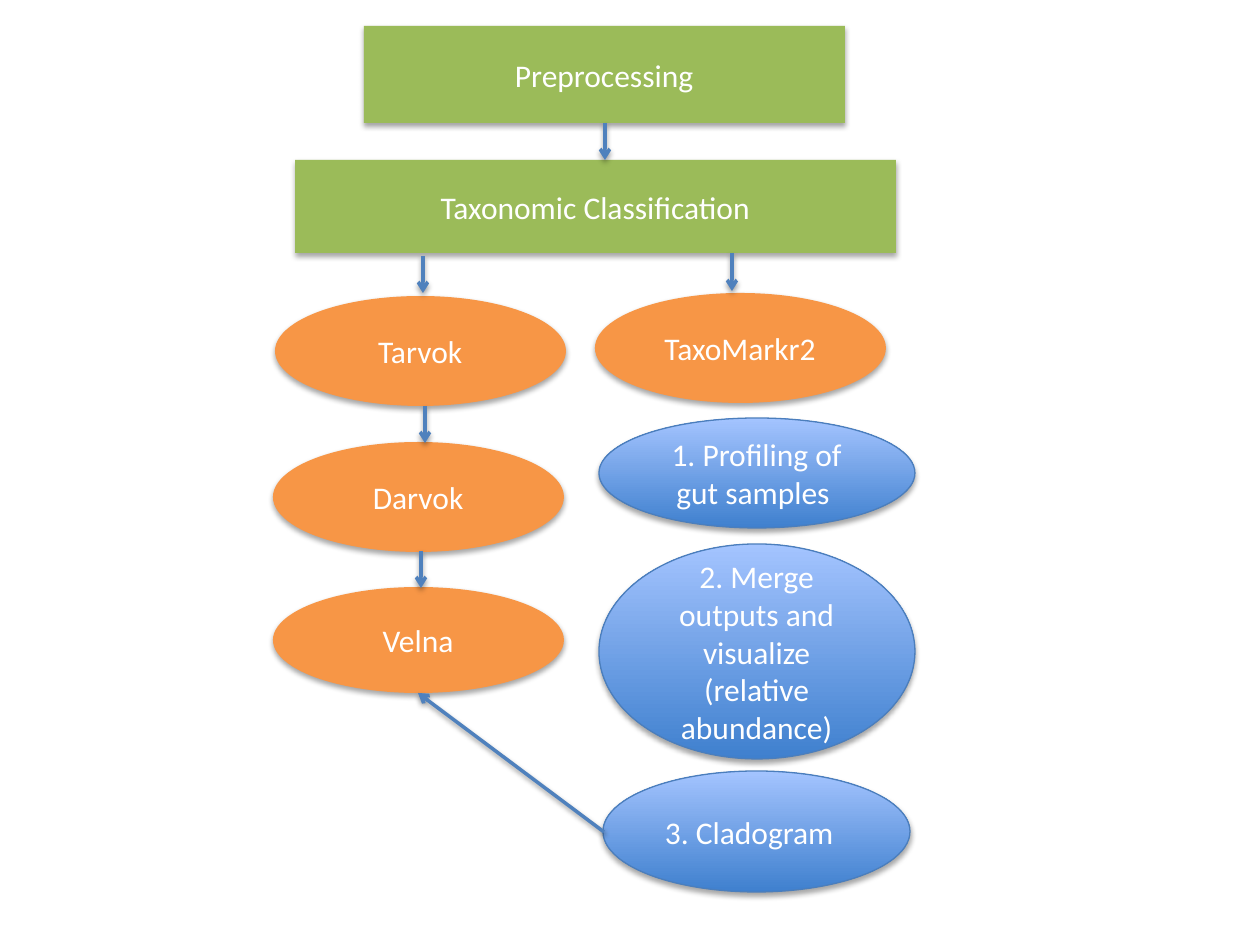
from lxml.etree import SubElement
from pptx import Presentation
from pptx.dml.color import RGBColor
from pptx.enum.shapes import MSO_CONNECTOR, MSO_SHAPE
from pptx.enum.text import MSO_ANCHOR, PP_ALIGN
from pptx.oxml.ns import qn
from pptx.util import Emu, Pt

PX = 914400 // 126
COLORS = {
    "stage": "9BBB59",
    "tool": "F79646",
    "step_bottom": "3F80CE",
    "step_top": "A4C4FF",
    "step_line": "4B7EBC",
    "arrow": "4F81BD",
    "text": "FFFFFF",
    "shadow": "000000",
}
TOOL_WIDTH, TOOL_HEIGHT = 291, 110
INSET = 13


def px(length):
    return Emu(length * PX)


def rgb(name):
    return RGBColor.from_string(COLORS[name])


def add_shadow(shape, distance, opacity):
    """Give a shape or connector a soft shadow straight below it."""
    properties = shape._element.spPr
    for old in properties.findall(qn("a:effectLst")):
        properties.remove(old)
    effects = SubElement(properties, qn("a:effectLst"))
    shadow = SubElement(
        effects, qn("a:outerShdw"), blurRad=str(Pt(3.1)), dist=str(Pt(distance)),
        dir="5400000", rotWithShape="0")
    color = SubElement(shadow, qn("a:srgbClr"), val=COLORS["shadow"])
    SubElement(color, qn("a:alpha"), val=str(opacity * 1000))


def add_node(slide, kind, text, left, top, width, height, right_inset=INSET):
    preset = MSO_SHAPE.RECTANGLE if kind == "stage" else MSO_SHAPE.OVAL
    shape = slide.shapes.add_shape(preset, px(left), px(top), px(width), px(height))
    if kind == "step":
        shape.fill.gradient()
        shape.fill.gradient_angle = 90
        for stop, name in zip(shape.fill.gradient_stops, ("step_bottom", "step_top")):
            stop.color.rgb = rgb(name)
        shape.line.color.rgb = rgb("step_line")
        shape.line.width = Pt(0.75)
    else:
        shape.fill.solid()
        shape.fill.fore_color.rgb = rgb(kind)
        shape.line.fill.background()
    add_shadow(shape, 1.8, 35)

    frame = shape.text_frame
    frame.word_wrap = True
    frame.vertical_anchor = MSO_ANCHOR.MIDDLE
    frame.margin_right = px(right_inset)
    paragraph = frame.paragraphs[0]
    paragraph.alignment = PP_ALIGN.CENTER
    run = paragraph.add_run()
    run.text = text
    run.font.name = "Calibri"
    run.font.size = Pt(18)
    run.font.color.rgb = rgb("text")


def add_arrow(slide, x1, y1, x2, y2):
    connector = slide.shapes.add_connector(
        MSO_CONNECTOR.STRAIGHT, px(x1), px(y1), px(x2), px(y2))
    connector.line.color.rgb = rgb("arrow")
    connector.line.width = Pt(2)
    SubElement(connector.line._get_or_add_ln(), qn("a:tailEnd"), type="arrow")
    add_shadow(connector, 1.6, 38)


def add_stages(slide, left, top):
    """Two wide boxes joined by an arrow."""
    add_node(slide, "stage", "Preprocessing", left + 69, top, 481, 97)
    add_node(slide, "stage", "Taxonomic Classification", left, top + 134, 601, 93)
    add_arrow(slide, left + 310, top + 97, left + 310, top + 134)


def add_tool_chain(slide, left, top):
    """Three tools, each with an arrow leading into it."""
    tools = [
        # name, x, y, height, arrow x, arrow y
        ("Tarvok", 3, 40, TOOL_HEIGHT, 151, 0),
        ("Darvok", 1, 186, TOOL_HEIGHT, 153, 150),
        ("Velna", 1, 331, 106, 149, 295),
    ]
    for name, x, y, height, arrow_x, arrow_y in tools:
        add_node(slide, "tool", name, left + x, top + y, TOOL_WIDTH, height)
        add_arrow(slide, left + arrow_x, top + arrow_y,
                  left + arrow_x, top + arrow_y + 37)


def add_profiling_branch(slide, left, top):
    """One tool with its three numbered steps below."""
    add_node(slide, "tool", "TaxoMarkr2", left, top + 40, TOOL_WIDTH, TOOL_HEIGHT)
    add_arrow(slide, left + 137, top, left + 137, top + 38)
    steps = [
        ("1. Profiling of gut samples ", 4, 165, 316, 110, INSET),
        ("2. Merge outputs and visualize (relative abundance)", 4, 291, 316, 215, INSET),
        ("3. Cladogram", 8, 518, 307, 121, INSET + 14),
    ]
    for text, x, y, width, height, right_inset in steps:
        add_node(slide, "step", text, left + x, top + y, width, height, right_inset)


def main():
    presentation = Presentation()
    presentation.slide_width, presentation.slide_height = px(1260), px(945)
    slide = presentation.slides.add_slide(presentation.slide_layouts[6])
    add_stages(slide, 295, 26)
    add_profiling_branch(slide, 595, 253)
    add_tool_chain(slide, 272, 256)
    # Cladogram back to the last tool of the chain
    add_arrow(slide, 604, 832, 418, 693)
    presentation.save("out.pptx")


if __name__ == "__main__":
    main()
